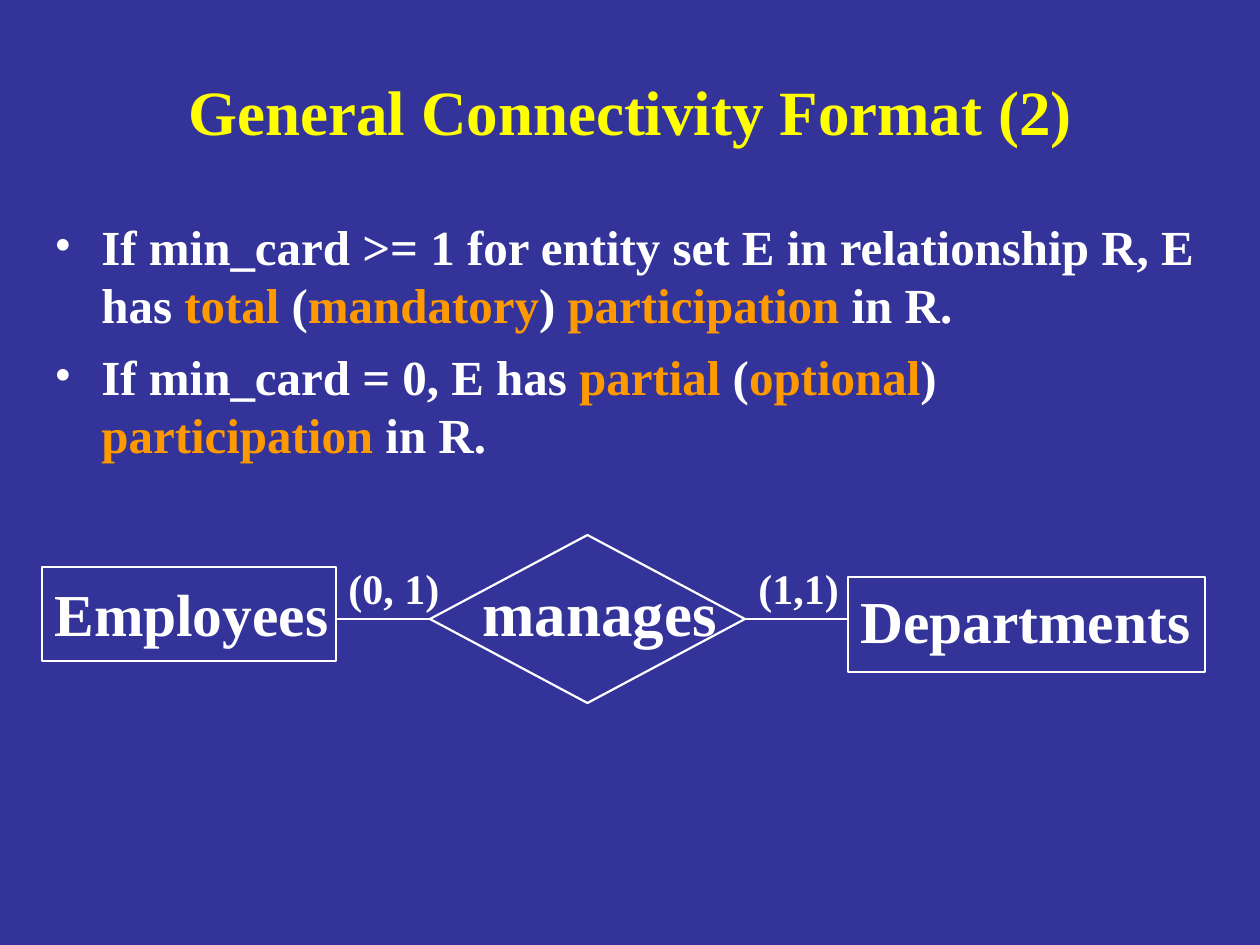
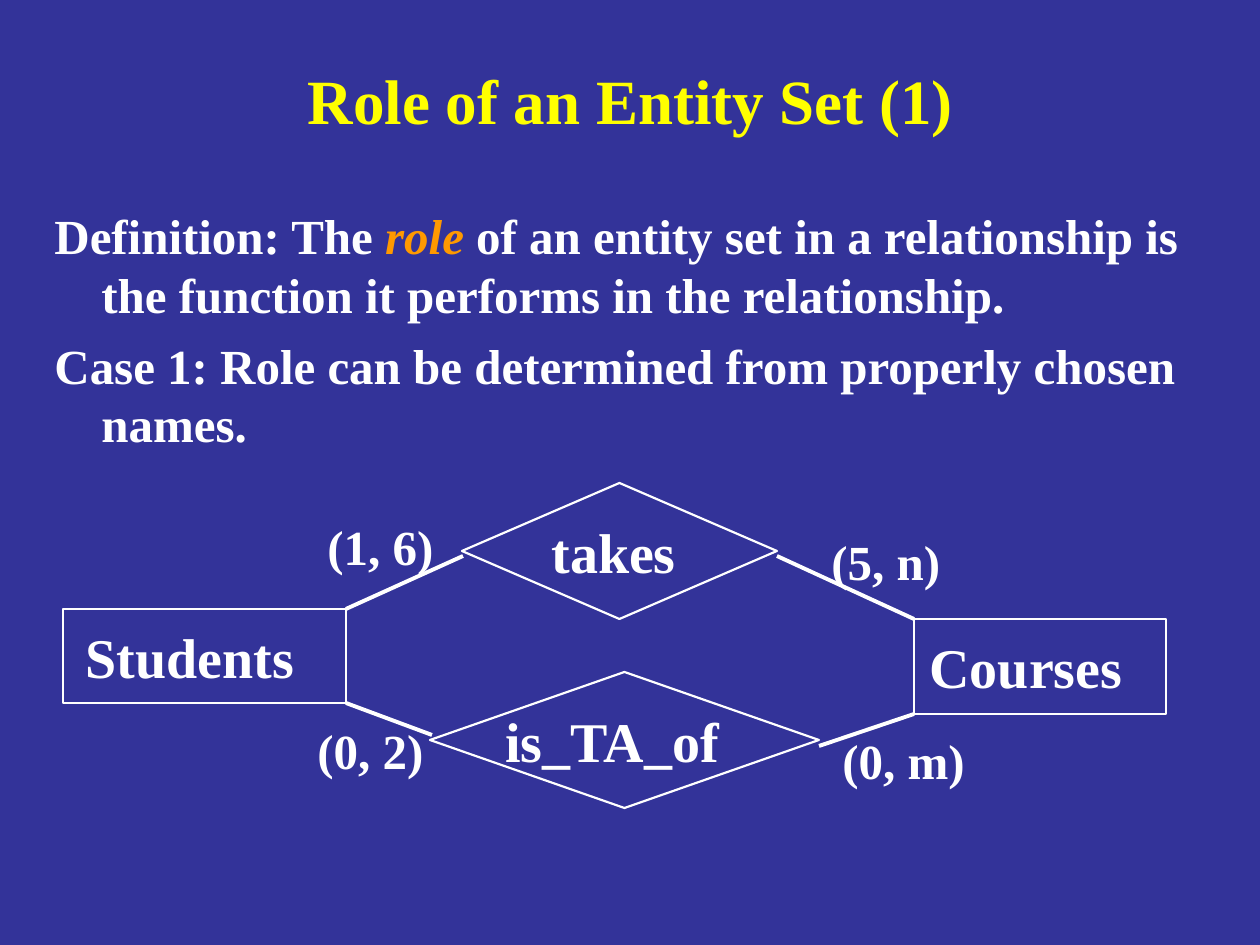
from lxml import etree
from pptx import Presentation
from pptx import util as u
from pptx.dml.color import RGBColor
from pptx.enum import shapes, text
from pptx.oxml import ns

# Shared look
BLUE = RGBColor(0x33, 0x33, 0x99)
WHITE = RGBColor(0xFF, 0xFF, 0xFF)
YELLOW = RGBColor(0xFF, 0xFF, 0x00)
ORANGE = RGBColor(0xFF, 0x99, 0x00)
FONT = "Times New Roman"
PX = 914400 / 126
TITLE_LEFT, TITLE_TOP, TITLE_WIDTH = 95, 52, 1071
BODY_LEFT, BODY_WIDTH, HANG = 42, 1176, 47
ENTITY = shapes.MSO_SHAPE.RECTANGLE
RELATION = shapes.MSO_SHAPE.DIAMOND
LEFT, RIGHT = 1, 3
PLAIN, KEY, KEY_ITALIC = "plain", "key", "key italic"

# Content: boxes are (left, top, width, height); a line end is a point
# or a (node name, side) pair
SLIDES = [
    {
        "title": "General Connectivity Format (2)",
        "title_height": 116,
        "body_top": 210,
        "body_height": 693,
        "bullet": "•",
        "body": [
            [("If min_card >= 1 for entity set E in relationship R, E has ", PLAIN),
             ("total", KEY), (" (", PLAIN), ("mandatory", KEY), (") ", PLAIN),
             ("participation", KEY), (" in R.", PLAIN)],
            [("If min_card = 0, E has ", PLAIN), ("partial", KEY), (" (", PLAIN),
             ("optional", KEY), (") ", PLAIN), ("participation", KEY),
             (" in R.", PLAIN)],
        ],
        "nodes": {
            "manages": (RELATION, (430, 535, 315, 168)),
            "Employees": (ENTITY, (42, 567, 294, 94)),
            "Departments": (ENTITY, (848, 577, 357, 95)),
        },
        "labels": [
            ("manages", 36, (470, 567, 260, 88)),
            ("Employees", 34, (42, 571, 299, 84)),
            ("Departments", 34, (848, 578, 355, 84)),
            ("(0, 1)", 24, (336, 556, 116, 63)),
            ("(1,1)", 24, (746, 556, 106, 63)),
        ],
        "line_width": 0.75,
        "lines": [
            ((336, 619), ("manages", LEFT)),
            (("manages", RIGHT), (848, 619)),
        ],
    },
    {
        "title": "Role of an Entity Set (1)",
        "title_height": 95,
        "body_top": 199,
        "body_height": 703,
        "bullet": None,
        "body": [
            [("Definition: The ", PLAIN), ("role", KEY_ITALIC),
             (" of an entity set in a relationship is the function it performs"
              " in the relationship.", PLAIN)],
            [("Case 1: Role can be determined from properly chosen names.", PLAIN)],
        ],
        "nodes": {
            "takes": (RELATION, (462, 483, 315, 136)),
            "is_TA_of": (RELATION, (430, 672, 389, 136)),
            "Students": (ENTITY, (63, 609, 283, 94)),
            "Courses": (ENTITY, (914, 619, 252, 95)),
        },
        "labels": [
            ("takes", 32, (539, 511, 150, 81)),
            ("is_TA_of", 32, (493, 700, 243, 81)),
            ("Students", 32, (73, 616, 233, 81)),
            ("Courses", 32, (917, 626, 218, 81)),
            ("(1, 6)", 28, (315, 510, 131, 72)),
            ("(0, 2)", 28, (305, 714, 131, 72)),
            ("(5, n)", 28, (819, 525, 134, 72)),
            ("(0, m)", 28, (830, 724, 147, 72)),
        ],
        "line_width": 2.25,
        "lines": [
            ((346, 609), (463, 556)),
            ((777, 556), (914, 619)),
            ((346, 703), (432, 735)),
            ((819, 746), (914, 714)),
        ],
    },
]


def emu(*lengths):
    return [round(length * PX) for length in lengths]


def set_font(font, size, colour):
    font.name, font.size, font.bold = FONT, u.Pt(size), True
    font.color.rgb = colour


def add_title(page, words, height):
    title = page.shapes.title
    title.left, title.top, title.width, title.height = emu(
        TITLE_LEFT, TITLE_TOP, TITLE_WIDTH, height)
    title.text_frame.vertical_anchor = text.MSO_ANCHOR.MIDDLE
    title.text_frame.text = words
    para = title.text_frame.paragraphs[0]
    para.alignment = text.PP_ALIGN.CENTER
    set_font(para.font, 36, YELLOW)


def set_hanging_indent(para, bullet):
    props = para._p.get_or_add_pPr()
    hang = emu(HANG)[0]
    props.set("marL", str(hang))
    props.set("indent", str(-hang))
    if bullet:
        colour = etree.SubElement(props, ns.qn("a:buClr"))
        etree.SubElement(colour, ns.qn("a:srgbClr"), val=str(WHITE))
        etree.SubElement(props, ns.qn("a:buFont"), typeface=FONT)
        etree.SubElement(props, ns.qn("a:buChar"), char=bullet)


def add_body(page, paragraphs, top, height, bullet):
    box = page.shapes.add_textbox(*emu(BODY_LEFT, top, BODY_WIDTH, height))
    frame = box.text_frame
    frame.word_wrap = True
    for index, pieces in enumerate(paragraphs):
        para = frame.add_paragraph() if index else frame.paragraphs[0]
        set_hanging_indent(para, bullet)
        if index:
            para.space_before = u.Pt(7)
        set_font(para.font, 28, WHITE)
        for words, style in pieces:
            span = para.add_run()
            span.text = words
            if style != PLAIN:
                span.font.color.rgb = ORANGE
            if style == KEY_ITALIC:
                span.font.italic = True


def add_node(page, kind, place):
    node = page.shapes.add_shape(kind, *emu(*place))
    node.shadow.inherit = False
    node.fill.background()
    node.line.color.rgb = WHITE
    node.line.width = u.Pt(1.25)
    return node


def add_label(page, words, size, place):
    box = page.shapes.add_textbox(*emu(*place))
    frame = box.text_frame
    frame.word_wrap = True
    frame.margin_right = 0  # spare width keeps the label on one line
    frame.text = words
    set_font(frame.paragraphs[0].font, size, WHITE)


def add_line(page, start, end, width, nodes):
    line = page.shapes.add_connector(shapes.MSO_CONNECTOR.STRAIGHT, 0, 0, 0, 0)
    if start[0] in nodes:
        line.begin_connect(nodes[start[0]], start[1])
    else:
        line.begin_x, line.begin_y = emu(*start)
    if end[0] in nodes:
        line.end_connect(nodes[end[0]], end[1])
    else:
        line.end_x, line.end_y = emu(*end)
    line.line.color.rgb = WHITE
    line.line.width = u.Pt(width)
    etree.SubElement(line._element.spPr, ns.qn("a:effectLst"))


def main():
    deck = Presentation()
    deck.slide_width, deck.slide_height = emu(1260, 945)
    background = deck.slide_master.background.fill
    background.solid()
    background.fore_color.rgb = BLUE
    title_only = deck.slide_layouts[5]

    for content in SLIDES:
        page = deck.slides.add_slide(title_only)
        add_title(page, content["title"], content["title_height"])
        add_body(page, content["body"], content["body_top"],
                 content["body_height"], content["bullet"])
        nodes = {name: add_node(page, kind, place)
                 for name, (kind, place) in content["nodes"].items()}
        for label in content["labels"]:
            add_label(page, *label)
        for start, end in content["lines"]:
            add_line(page, start, end, content["line_width"], nodes)

    deck.save("out.pptx")


if __name__ == "__main__":
    main()
